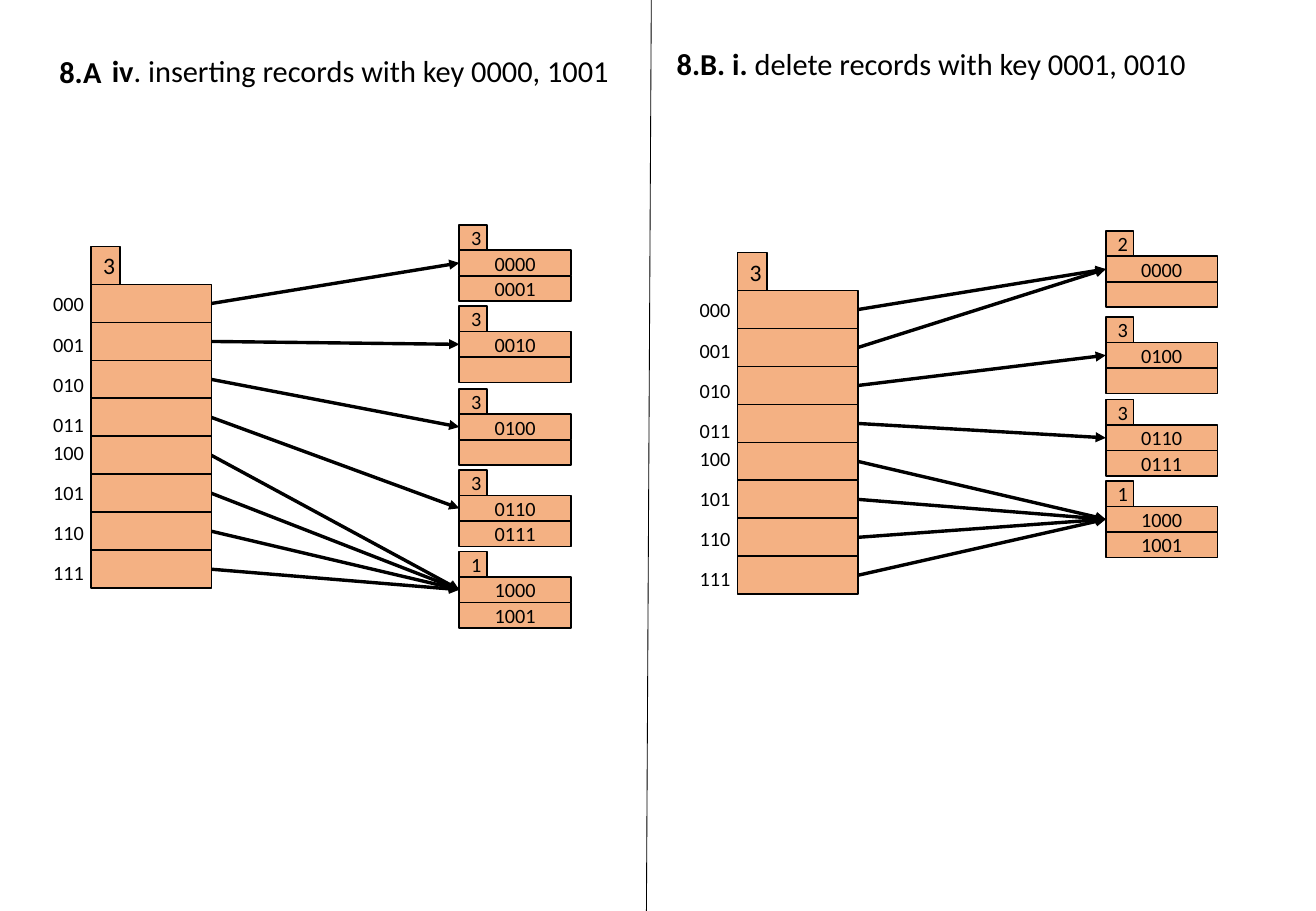
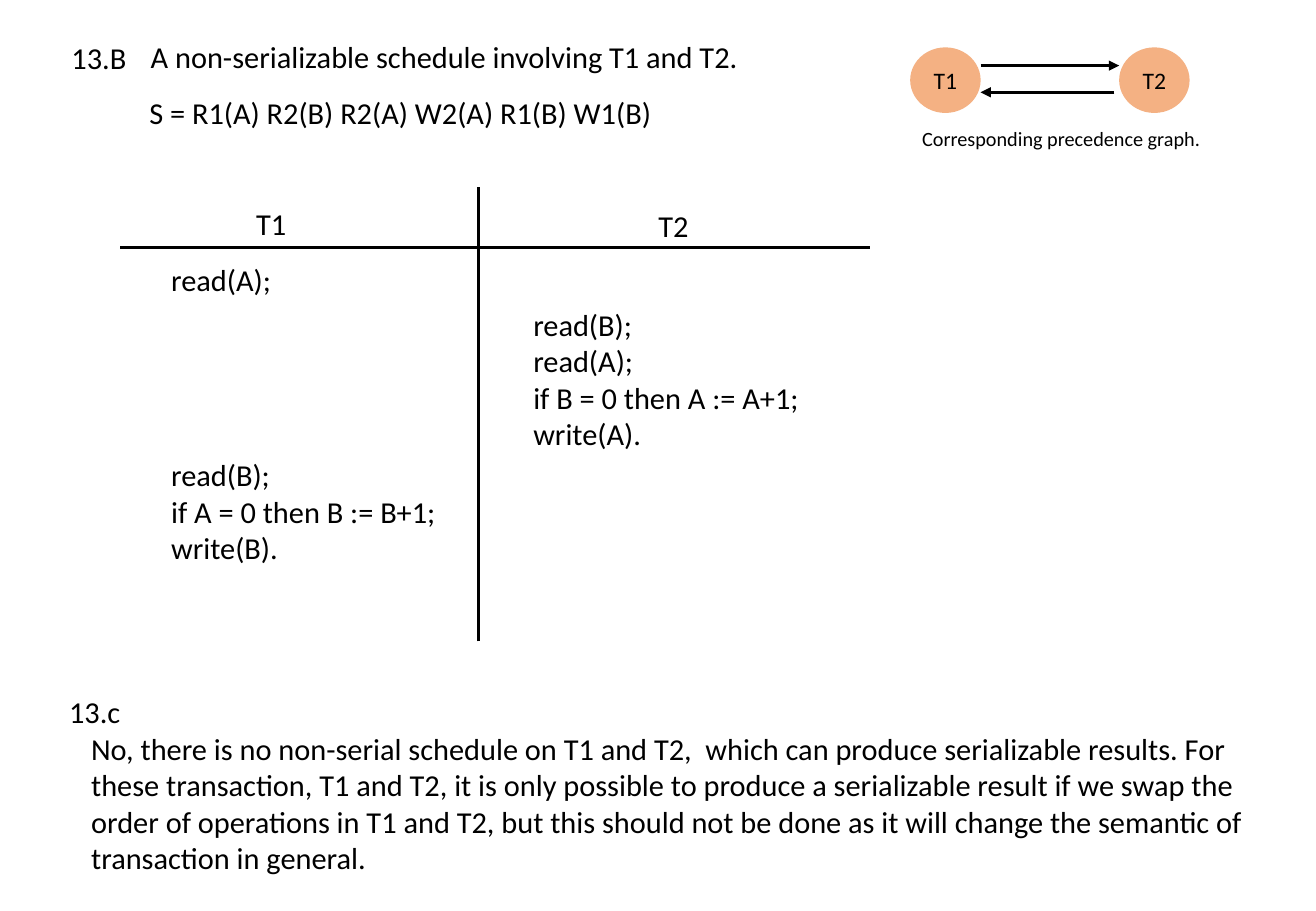
from pptx import Presentation
from pptx.dml.color import RGBColor
from pptx.enum import shapes, text
from pptx.oxml import parse_xml
from pptx.oxml.ns import nsdecls
from pptx.util import Inches, Pt

BLACK = RGBColor(0x00, 0x00, 0x00)
WHITE = RGBColor(0xFF, 0xFF, 0xFF)
PEACH = RGBColor(0xF4, 0xB1, 0x83)
FONT = "Calibri"
HEADING_SIZE, NODE_SIZE, LABEL_SIZE = 18, 14, 12
GLOBAL_DEPTH = 3
CELL_WIDTH, CELL_HEIGHT = 0.99, 2.5 / 8
BUCKET_WIDTH, RECORD_HEIGHT = 0.92, 0.21


def style_run(run, size, bold=False):
    run.font.name = FONT
    run.font.size = Pt(size)
    run.font.bold = bold
    run.font.color.rgb = BLACK


def fill_text(holder, lines, size, wrap=False, bold_lead=""):
    frame = holder.text_frame
    frame.text = "\n".join(lines)
    frame.word_wrap = wrap
    frame.auto_size = text.MSO_AUTO_SIZE.SHAPE_TO_FIT_TEXT
    frame.vertical_anchor = text.MSO_ANCHOR.TOP
    for paragraph in frame.paragraphs:
        paragraph.alignment = text.PP_ALIGN.LEFT
        paragraph.space_before = Pt(0)
        for run in paragraph.runs:
            style_run(run, size)
    if bold_lead:
        first = frame.paragraphs[0]
        lead, rest = first.runs[0], first.add_run()
        rest.text = lead.text[len(bold_lead):]
        lead.text = bold_lead
        style_run(lead, size, True)
        style_run(rest, size)


def place(holder, box):
    holder.left, holder.top, holder.width, holder.height = map(Inches, box)


def add_label(parent, box, lines, size=HEADING_SIZE, wrap=False, bold_lead=""):
    label = parent.add_textbox(*map(Inches, box))
    fill_text(label, lines, size, wrap, bold_lead)


def set_title(slide, box, words, bold_lead=""):
    place(slide.shapes.title, box)
    fill_text(slide.shapes.title, [words], HEADING_SIZE, bold_lead=bold_lead)


def add_node(parent, kind, box, words="", size=LABEL_SIZE, outlined=True):
    node = parent.add_shape(kind, *map(Inches, box))
    node.shadow.inherit = False
    node.fill.solid()
    node.fill.fore_color.rgb = PEACH
    if outlined:
        node.line.color.rgb = BLACK
        node.line.width = Pt(1)
    else:
        node.line.fill.background()
    if words:
        frame = node.text_frame
        frame.text = words
        frame.vertical_anchor = text.MSO_ANCHOR.MIDDLE
        frame.paragraphs[0].alignment = text.PP_ALIGN.CENTER
        style_run(frame.paragraphs[0].runs[0], size)


def add_line(parent, start, end, width, arrow=False):
    line = parent.add_connector(
        shapes.MSO_CONNECTOR.STRAIGHT, *map(Inches, (*start, *end)))
    line.line.color.rgb = BLACK
    line.line.width = Pt(width)
    if arrow:
        line.line._get_or_add_ln().append(
            parse_xml(f'<a:tailEnd {nsdecls("a")} type="triangle"/>'))
    line._element.spPr.append(parse_xml(f'<a:effectLst {nsdecls("a")}/>'))


def add_directory(slide, left, top):
    directory = slide.shapes.add_group_shape().shapes
    rect = shapes.MSO_SHAPE.RECTANGLE
    add_node(directory, rect, (left, top, 0.24, CELL_HEIGHT),
             str(GLOBAL_DEPTH), NODE_SIZE)
    first_cell = top + CELL_HEIGHT
    for index in range(2 ** GLOBAL_DEPTH):
        add_node(directory, rect, (left, first_cell + index * CELL_HEIGHT,
                                   CELL_WIDTH, CELL_HEIGHT))
        half, row = divmod(index, 4)
        label_top = first_cell + 0.01 + 1.22 * half + 0.33 * row
        add_label(directory, (left - 0.41, label_top, 0.46, 0.3),
                  [f"{index:03b}"], LABEL_SIZE)


def add_bucket(slide, left, top, depth, records):
    bucket = slide.shapes.add_group_shape().shapes
    rect = shapes.MSO_SHAPE.RECTANGLE
    add_node(bucket, rect, (left, top, 0.23, RECORD_HEIGHT), str(depth))
    for row, record in enumerate(records, 1):
        add_node(bucket, rect, (left, top + row * RECORD_HEIGHT,
                                BUCKET_WIDTH, RECORD_HEIGHT), record)


def add_hash_index(slide, left, top, buckets):
    bucket_left = left + 3.03
    pointer = 0
    for bucket_top, depth, records in buckets:
        for _ in range(2 ** (GLOBAL_DEPTH - depth)):
            cell_middle = top + (pointer + 1.5) * CELL_HEIGHT
            add_line(slide.shapes, (left + CELL_WIDTH, cell_middle),
                     (bucket_left, bucket_top + 1.5 * RECORD_HEIGHT), 2, True)
            pointer += 1
        add_bucket(slide, bucket_left, bucket_top, depth, records)
    add_directory(slide, left, top)


def add_precedence_graph(slide, left, top):
    graph = slide.shapes.add_group_shape().shapes
    for name, offset in (("T1", 0), ("T2", 1.72)):
        add_node(graph, shapes.MSO_SHAPE.OVAL, (left + offset, top, 0.58, 0.54),
                 name, NODE_SIZE, outlined=False)
    add_line(graph, (left + 0.58, top + 0.15), (left + 1.72, top + 0.15), 2, True)
    add_line(graph, (left + 1.68, top + 0.37), (left + 0.58, top + 0.37), 2, True)
    add_label(slide.shapes, (left, top + 0.6, 2.51, 0.3),
              ["Corresponding precedence graph."], LABEL_SIZE)


def add_schedule(slide, left, top):
    schedule = slide.shapes.add_group_shape().shapes
    add_line(schedule, (left, top + 0.5), (left + 6.17, top + 0.5), 1.5)
    add_line(schedule, (left + 2.95, top + 3.74), (left + 2.95, top), 1.5)
    add_label(schedule, (left + 1.02, top + 0.1, 0.45, 0.4), ["T1"])
    add_label(schedule, (left + 4.33, top + 0.12, 0.45, 0.4), ["T2"])
    steps = (
        (0.32, 0.56, ["read(A);"]),
        (3.3, 0.93, ["read(B);", "read(A);", "if B = 0 then A := A+1;", "write(A)."]),
        (0.32, 2.17, ["read(B);", "if A = 0 then B := B+1;", "write(B)."]),
    )
    for x, y, lines in steps:
        add_label(schedule, (left + x, top + y, 2.48, 0.1 + 0.3 * len(lines)),
                  lines, wrap=True)


def set_answer(slide, box, words):
    answer = slide.placeholders[1]
    place(answer, box)
    fill_text(answer, [words], HEADING_SIZE, wrap=True)
    properties = answer.text_frame.paragraphs[0]._p.get_or_add_pPr()
    properties.set("marL", "0")
    properties.set("indent", "0")
    properties.append(parse_xml(f'<a:buNone {nsdecls("a")}/>'))


def new_slide(deck, layout):
    slide = deck.slides.add_slide(deck.slide_layouts[layout])
    slide.background.fill.solid()
    slide.background.fill.fore_color.rgb = WHITE
    return slide


def build_hashing(deck):
    slide = new_slide(deck, 5)
    set_title(slide, (0.82, 0.38, 4.31, 0.4),
              "iv. inserting records with key 0000, 1001", "iv")
    add_label(slide.shapes, (0.39, 0.39, 0.55, 0.4), ["8.A"], bold_lead="8.A")
    add_label(slide.shapes, (5.47, 0.32, 4.42, 0.4),
              ["8.B. i. delete records with key 0001, 0010"], bold_lead="8.B. i. ")
    add_line(slide.shapes, (5.36, 0), (5.32, 7.5), 0.5)
    add_hash_index(slide, 0.75, 2.03, (
        (1.85, 3, ("0000", "0001")),
        (2.52, 3, ("0010", "")),
        (3.2, 3, ("0100", "")),
        (3.87, 3, ("0110", "0111")),
        (4.54, 1, ("1000", "1001")),
    ))
    add_hash_index(slide, 6.07, 2.08, (
        (1.9, 2, ("0000", "")),
        (2.61, 3, ("0100", "")),
        (3.29, 3, ("0110", "0111")),
        (3.96, 1, ("1000", "1001")),
    ))


def build_transactions(deck):
    slide = new_slide(deck, 1)
    set_title(slide, (1.14, 0.26, 5.09, 0.4),
              "A non-serializable schedule involving T1 and T2.")
    add_label(slide.shapes, (0.49, 0.27, 0.66, 0.4), ["13.B"])
    add_label(slide.shapes, (1.13, 0.73, 4.38, 0.4),
              ["S = R1(A) R2(B) R2(A) W2(A) R1(B) W1(B)"])
    add_precedence_graph(slide, 7.49, 0.39)
    add_schedule(slide, 0.99, 1.54)
    add_label(slide.shapes, (0.47, 5.66, 0.63, 0.4), ["13.c"])
    set_answer(slide, (0.65, 5.96, 9.71, 1.31),
               "No, there is no non-serial schedule on T1 and T2,  which can produce "
               "serializable results. For these transaction, T1 and T2, it is only "
               "possible to produce a serializable result if we swap the order of "
               "operations in T1 and T2, but this should not be done as it will change "
               "the semantic of transaction in general.")


deck = Presentation()
deck.slide_width, deck.slide_height = Inches(10.83), Inches(7.5)
build_hashing(deck)
build_transactions(deck)
deck.save("out.pptx")
